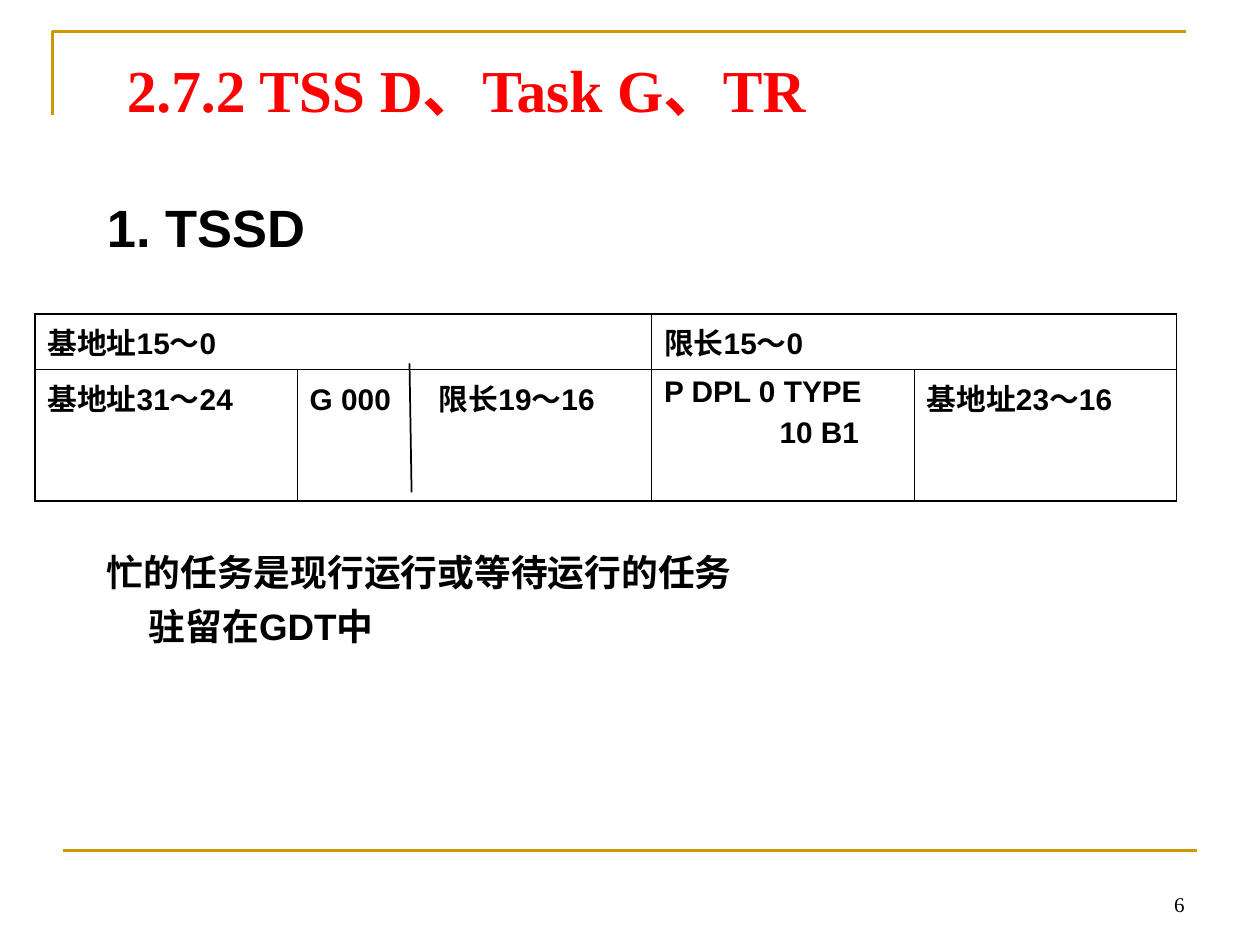
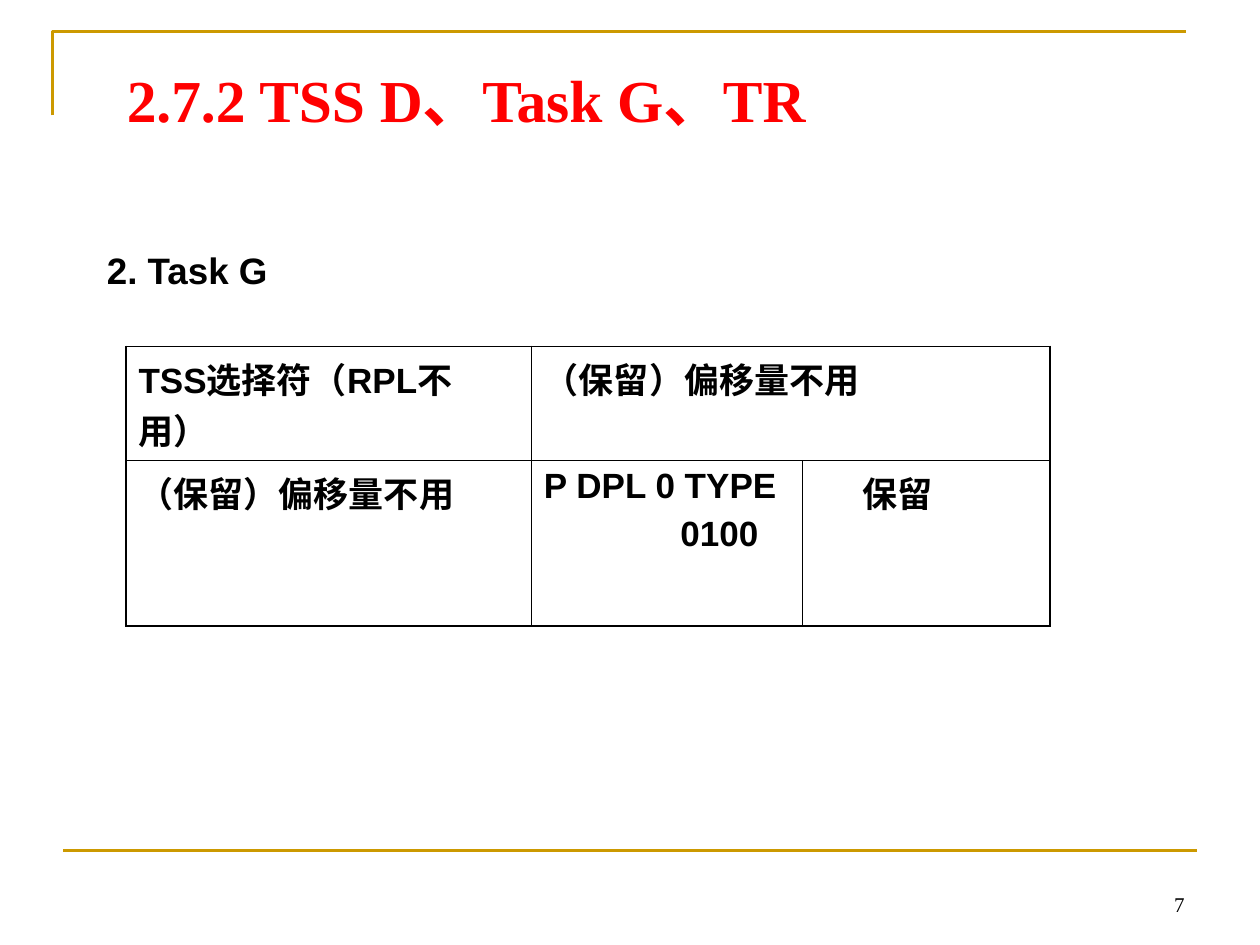
from dataclasses import dataclass

from lxml.etree import SubElement as Sub
from pptx import Presentation
from pptx.dml.color import RGBColor
from pptx.enum.shapes import MSO_CONNECTOR as Conn
from pptx.enum.text import MSO_ANCHOR as Anchor, PP_ALIGN as Align
from pptx.oxml.ns import qn
from pptx.slide import Slide
from pptx.table import _Cell as TCell
from pptx.text.text import TextFrame
from pptx.util import Inches, Length, Pt

GOLD = RGBColor(0xCC, 0x99, 0x00)
RED = RGBColor(0xFF, 0x00, 0x00)
BLACK = RGBColor(0x00, 0x00, 0x00)
SANS, SERIF = "Arial", "Times New Roman"
COLS, ROWS = 120, 90  # slide grid
THICK, THIN = 1.08, 0.45
GAP = 0.25  # space between paragraphs, as a share of the text size
TITLE = "2.7.2 TSS D、Task G、TR"


@dataclass
class Box:
    left: float
    top: float
    width: float
    height: float


@dataclass
class Line:
    text: str
    indent: float = 0
    tab: float = 0


@dataclass
class Field:
    """One cell of a descriptor, covering `span` columns."""
    lines: list[Line]
    span: int = 1


@dataclass
class Layout:
    """A descriptor's table: place, column widths, row heights and fields."""
    left: float
    top: float
    size: float
    cols: list[float]
    rows: list[float]
    fields: list[list[Field]]


def unit(count: float) -> Length:
    """Length of a number of grid columns or rows."""
    return Inches(count * 10 / COLS)


def place(box: Box) -> list[Length]:
    return [unit(n) for n in (box.left, box.top, box.width, box.height)]


def write(frame: TextFrame, lines: list[Line], *, size: float, font: str = SANS,
          color: RGBColor = BLACK, bold: bool = True,
          align: Align = Align.LEFT) -> None:
    frame.word_wrap = True
    for i, line in enumerate(lines):
        para = frame.add_paragraph() if i else frame.paragraphs[0]
        props = para._p.get_or_add_pPr()
        if line.indent:
            props.set("marL", str(unit(line.indent)))
        if line.tab:
            tabs = Sub(props, qn("a:tabLst"))
            Sub(tabs, qn("a:tab"), pos=str(unit(line.tab)), algn="l")
        para.alignment = align
        para.space_before = Pt(size * GAP if i else 0)
        run = para.add_run()
        run.text = line.text
        run.font.name, run.font.size, run.font.bold = font, Pt(size), bold
        run.font.color.rgb = color


def add_text(slide: Slide, box: Box, *lines: Line, anchor: Anchor = Anchor.TOP,
             **form) -> None:
    frame = slide.shapes.add_textbox(*place(box)).text_frame
    frame.vertical_anchor = anchor
    write(frame, list(lines), **form)


def add_line(slide: Slide, x1: float, y1: float, x2: float, y2: float,
             color: RGBColor, width: float) -> None:
    line = slide.shapes.add_connector(
        Conn.STRAIGHT, unit(x1), unit(y1), unit(x2), unit(y2))
    line.line.color.rgb, line.line.width = color, Pt(width)
    Sub(line._element.spPr, qn("a:effectLst"))


def add_frame(slide: Slide, page: int, title: Box) -> None:
    """Gold corner and rule, title and page number."""
    pen = slide.shapes.build_freeform(unit(5), unit(11))
    pen.add_line_segments([(unit(5), unit(3)), (unit(113), unit(3))], close=False)
    corner = pen.convert_to_shape()
    corner.shadow.inherit = False
    corner.fill.background()
    corner.line.color.rgb, corner.line.width = GOLD, Pt(1.5)
    add_line(slide, 6, 81, 114, 81, GOLD, 1.5)
    add_text(slide, title, Line(TITLE), size=34, font=SERIF, color=RED)
    add_text(slide, Box(86, 81.9, 28, 6), Line(str(page)), size=12, font=SERIF,
             bold=False, align=Align.RIGHT, anchor=Anchor.BOTTOM)


def set_edges(cell: TCell, outer: dict[str, bool]) -> None:
    """Border each side, thick where the side is on the table's outside."""
    props = cell._tc.get_or_add_tcPr()
    for side, out in outer.items():
        edge = Sub(props, qn(f"a:ln{side}"), w=str(Pt(THICK if out else THIN)))
        fill = Sub(edge, qn("a:solidFill"))
        Sub(fill, qn("a:srgbClr"), val=str(BLACK))
    cell.fill.background()


def add_fields(slide: Slide, plan: Layout) -> None:
    high, wide = len(plan.rows), len(plan.cols)
    box = Box(plan.left, plan.top, sum(plan.cols), sum(plan.rows))
    table = slide.shapes.add_table(high, wide, *place(box)).table
    table.first_row = table.horz_banding = False
    for col, width in zip(table.columns, plan.cols):
        col.width = unit(width)
    for row, height in zip(table.rows, plan.rows):
        row.height = unit(height)
    for r, fields in enumerate(plan.fields):
        start = 0
        for field in fields:
            end = start + field.span
            outer = {"L": start == 0, "R": end == wide,
                     "T": r == 0, "B": r == high - 1}
            for c in range(start, end):
                set_edges(table.cell(r, c), outer)
            cell = table.cell(r, start)
            if field.span > 1:
                cell.merge(table.cell(r, end - 1))
            write(cell.text_frame, field.lines, size=plan.size)
            start = end


TSSD = Layout(3.3, 29.9, 17, [25, 33.75, 25, 25], [5.3, 12.55], [
    [Field([Line("基地址15～0")], 2), Field([Line("限长15～0")], 2)],
    [Field([Line("基地址31～24")]),
     Field([Line("G 000\t限长19～16", tab=12.3)]),
     Field([Line("P DPL 0 TYPE"), Line("10 B1", indent=11)]),
     Field([Line("基地址23～16")])],
])
GATE = Layout(12, 33, 20, [38.6, 25.8, 23.6], [10.85, 15.8], [
    [Field([Line("TSS选择符（RPL不用）")]),
     Field([Line("（保留）偏移量不用")], 2)],
    [Field([Line("（保留）偏移量不用")]),
     Field([Line("P DPL 0 TYPE"), Line("0100", indent=13)]),
     Field([Line("保留", indent=4.5)])],
])


def main() -> None:
    deck = Presentation()
    deck.slide_width, deck.slide_height = unit(COLS), unit(ROWS)
    blank = deck.slide_layouts[6]

    slide = deck.slides.add_slide(blank)
    add_frame(slide, 6, Box(10.9, 4.5, 102, 7.8))
    add_text(slide, Box(9, 18, 102, 8), Line("1. TSSD"), size=30)
    add_fields(slide, TSSD)
    add_line(slide, 39, 34.6, 39.2, 46.9, BLACK, 1)
    add_text(slide, Box(9, 51.8, 102, 12),
             Line("忙的任务是现行运行或等待运行的任务"),
             Line("驻留在GDT中", indent=4), size=21)

    slide = deck.slides.add_slide(blank)
    add_frame(slide, 7, Box(10.9, 5.4, 102, 4.9))
    add_text(slide, Box(9, 23, 102, 6), Line("2. Task G"), size=21)
    add_fields(slide, GATE)

    deck.save("out.pptx")


if __name__ == "__main__":
    main()
